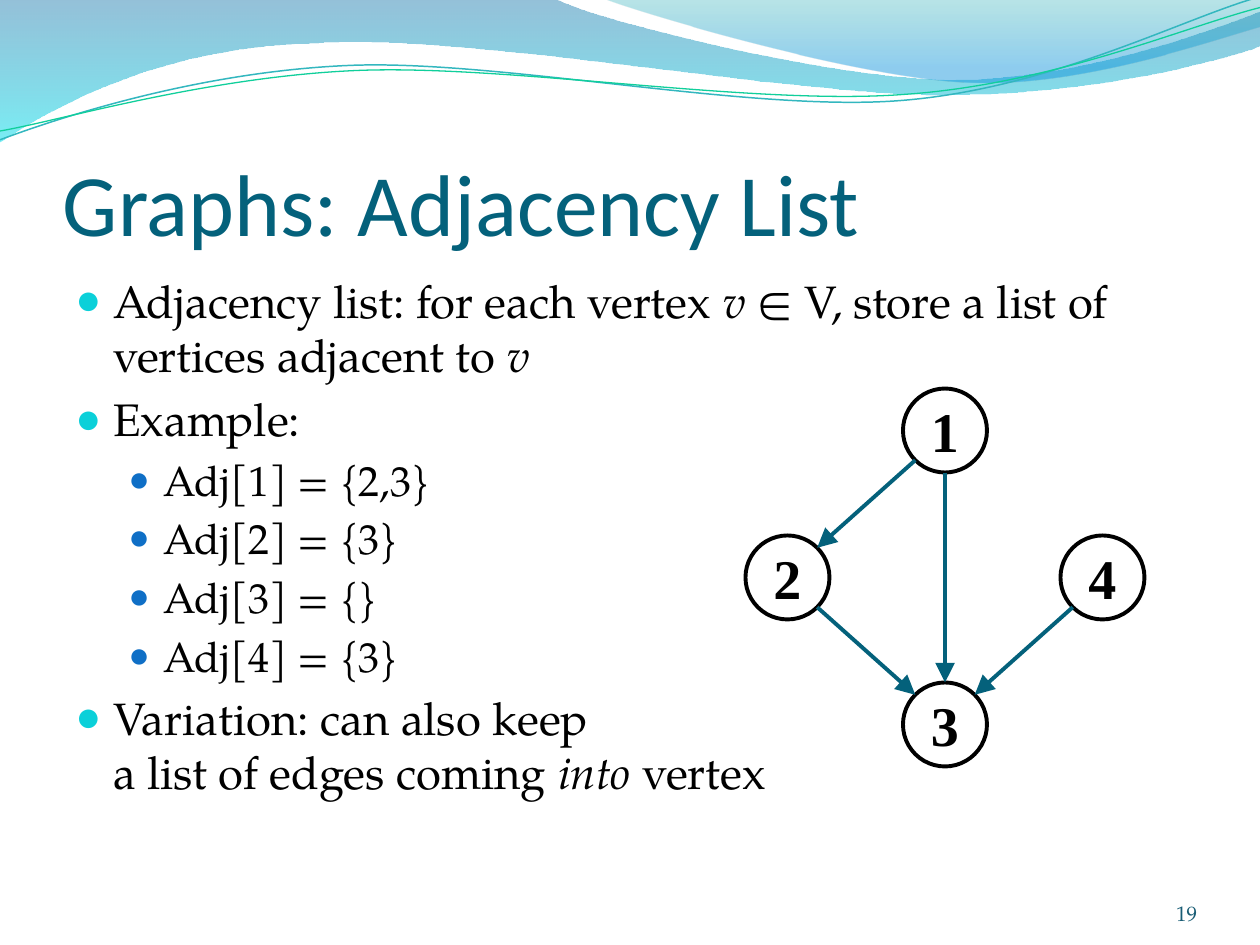
from collections import namedtuple
from math import hypot

from lxml import etree
from pptx import Presentation
from pptx.dml.color import RGBColor
from pptx.enum.shapes import MSO_CONNECTOR, MSO_SHAPE
from pptx.enum.text import MSO_ANCHOR, PP_ALIGN
from pptx.oxml.ns import qn
from pptx.util import Emu, Inches, Pt

OVAL = MSO_SHAPE.OVAL
STRAIGHT = MSO_CONNECTOR.STRAIGHT
TOP, MIDDLE, BOTTOM = MSO_ANCHOR.TOP, MSO_ANCHOR.MIDDLE, MSO_ANCHOR.BOTTOM
LEFT, CENTER, RIGHT = PP_ALIGN.LEFT, PP_ALIGN.CENTER, PP_ALIGN.RIGHT
SERIF, ROMAN = "TeX Gyre Pagella", "Times New Roman"
INK, TEAL = "000000", "04617B"
WIDTH, HEIGHT = Inches(10), Inches(7.5)
COLUMNS, ROWS = 120, 90

Box = namedtuple("Box", "left top width height")
Level = namedtuple("Level", "size margin hang before bullet scale")

LEVELS = [
    Level(26, 0.3, 0.3, 5.2, "0BD0D9", 95),
    Level(24, 0.7, 0.28, 4.8, "0F6FC6", 85),
]
BULLETS = [
    (0, [("Adjacency list: for each vertex ", False), ("v ", True),
         ("∈ V, store a list of vertices adjacent to ", False), ("v", True)]),
    (0, [("Example:", False)]),
    (1, [("Adj[1] = {2,3}", False)]),
    (1, [("Adj[2] = {3}", False)]),
    (1, [("Adj[3] = {}", False)]),
    (1, [("Adj[4] = {3}", False)]),
    (0, [("Variation: can also keep ", False), ("\n", False),
         ("a list of edges coming ", False), ("into ", True), ("vertex", False)]),
]
NODES = {"1": (1, 0), "2": (0, 1), "4": (2, 1), "3": (1, 2)}
EDGES = ["12", "23", "43", "13"]

BANDS = [
    ([(0, 0), (4.4, -0.01),
      (4.76, 0.17, 6.64, 0.63, 7.58, 0.63), (8.53, 0.63, 9.58, 0.26, 10, 0.09),
      (10.01, 0.36),
      (9.83, 0.44, 8.7, 0.76, 7.46, 0.75), (6.22, 0.75, 3.82, 0.28, 2.57, 0.34),
      (1.29, 0.36, 0.46, 0.83, -0.01, 1.13), (0, 0)],
     [(0, "1476AB", 45), (100, "0CE0EC", 55)]),
    ([(4.79, -0.01),
      (5.09, 0.11, 6.82, 0.62, 7.69, 0.65), (8.56, 0.69, 9.61, 0.32, 10, 0.21),
      (10, 0), (4.79, -0.01)],
     [(0, "18A7B0", 30), (80, "0993DD", 45), (100, "0993DD", 45)]),
]
STRANDS = [
    ([(0, 1.11), (0.48, 0.93, 1.58, 0.57, 2.77, 0.52),
      (3.95, 0.47, 5.93, 0.89, 7.13, 0.8), (8.33, 0.71, 9.38, 0.15, 9.98, -0.02)],
     "33B7BF", 0.85),
    ([(0, 1.04), (0.47, 0.96, 1.64, 0.61, 2.83, 0.56),
      (4.03, 0.51, 5.97, 0.84, 7.17, 0.75), (8.36, 0.67, 9.41, 0.21, 10, 0.06)],
     "10CF9B", 0.75),
]


def color(value):
    """Turn a hex string into a colour."""
    return RGBColor.from_string(value)


def cells(left, top, width, height):
    """Give a box from columns and rows of the slide's grid."""
    column, row = WIDTH / COLUMNS, HEIGHT / ROWS
    return Box(*(Emu(round(v)) for v in (left * column, top * row, width * column, height * row)))


def add_element(parent, tag, **attributes):
    """Append a DrawingML element with the given attributes."""
    child = etree.SubElement(parent, qn(tag))
    for name, value in attributes.items():
        child.set(name, str(value))
    return child


def set_line(line, value, points):
    """Colour a line and set its width."""
    line.color.rgb = color(value)
    line.width = Pt(points)


def set_frame(frame, anchor, insets):
    """Set wrapping, anchor and insets, given in inches as left, top, right, bottom."""
    sides = ("margin_left", "margin_top", "margin_right", "margin_bottom")
    formats = dict(zip(sides, map(Inches, insets)), word_wrap=True, vertical_anchor=anchor)
    for name, value in formats.items():
        setattr(frame, name, value)


def add_span(para, text, value, **formats):
    """Add one run of text with its font formats."""
    span = para.add_run()
    span.text = text
    span.font.color.rgb = color(value)
    for name, setting in formats.items():
        setattr(span.font, name, setting)


def add_outline(page, box, path, close):
    """Draw lines and cubic curves measured in tenths of the box's width."""
    unit = box.width / 10
    parts = [[(box.left + part[i] * unit, box.top + part[i + 1] * unit)
              for i in range(0, len(part), 2)] for part in path]
    builder = page.shapes.build_freeform(*parts[0][-1], scale=1.0)
    builder.add_line_segments([part[-1] for part in parts[1:]], close=close)
    shape = builder.convert_to_shape()
    shape.shadow.inherit = False
    segments = list(shape._element.spPr.iter(qn("a:lnTo")))
    for segment, part in zip(segments, parts[1:]):
        if len(part) == 3:
            curve = etree.Element(qn("a:cubicBezTo"))
            for x, y in part:
                add_element(curve, "a:pt", x=round(x - shape.left), y=round(y - shape.top))
            segment.getparent().replace(segment, curve)
    return shape


def add_waves(page, box):
    """Draw the tinted bands and thin strands along the top."""
    for path, stops in BANDS:
        band = add_outline(page, box, path, True)
        band.line.fill.background()
        band.fill.gradient()
        band.fill.gradient_angle = 270
        stop_list = next(band._element.spPr.iter(qn("a:gsLst")))
        for old in list(stop_list):
            stop_list.remove(old)
        for position, value, opacity in stops:
            stop = add_element(stop_list, "a:gs", pos=position * 1000)
            tint = add_element(stop, "a:srgbClr", val=value)
            add_element(tint, "a:alpha", val=opacity * 1000)
    for path, value, points in STRANDS:
        strand = add_outline(page, box, path, False)
        strand.fill.background()
        set_line(strand.line, value, points)


def add_label(page, box, text, value, insets, align, **formats):
    """Place one line of text at the bottom of a box."""
    frame = page.shapes.add_textbox(*box).text_frame
    set_frame(frame, BOTTOM, insets)
    para = frame.paragraphs[0]
    para.alignment = align
    add_span(para, text, value, **formats)


def add_bullets(page, box):
    """Write the two-level bullet list."""
    frame = page.shapes.add_textbox(*box).text_frame
    set_frame(frame, TOP, (0.1, 0.05, 0.1, 0.05))
    for index, (depth, spans) in enumerate(BULLETS):
        level = LEVELS[depth]
        para = frame.add_paragraph() if index else frame.paragraphs[0]
        para.level = depth
        para.space_before = Pt(level.before if index else 0)
        props = para._p.get_or_add_pPr()
        props.set("marL", str(Inches(level.margin)))
        props.set("indent", str(-Inches(level.hang)))
        add_element(add_element(props, "a:buClr"), "a:srgbClr", val=level.bullet)
        add_element(props, "a:buSzPct", val=level.scale * 1000)
        add_element(props, "a:buFont", typeface=ROMAN)
        add_element(props, "a:buChar", char="●")
        for text, italic in spans:
            if text == "\n":
                para.add_line_break()
            else:
                add_span(para, text, INK, name=SERIF, size=Pt(level.size), italic=italic)


def add_graph(page, box):
    """Draw the directed graph on a grid of three columns and three rows."""
    size = box.width * 4 / 19
    radius = size / 2
    across, down = (box.width - size) / 2, (box.height - size) / 2
    centers = {name: (box.left + radius + column * across, box.top + radius + row * down)
               for name, (column, row) in NODES.items()}
    for name, (x, y) in centers.items():
        node = page.shapes.add_shape(OVAL, *map(round, (x - radius, y - radius, size, size)))
        node.shadow.inherit = False
        node.fill.background()
        set_line(node.line, INK, 2.25)
        set_frame(node.text_frame, MIDDLE, (0.1, 0.05, 0.1, 0.05))
        para = node.text_frame.paragraphs[0]
        para.alignment = CENTER
        add_span(para, name, INK, name=ROMAN, size=Pt(32), bold=True)
    for start, end in EDGES:
        steps = [max(-1, min(1, b - a)) for a, b in zip(NODES[start], NODES[end])]
        reach = [radius * step / hypot(*steps) for step in steps]
        begin = [round(c + r) for c, r in zip(centers[start], reach)]
        tip = [round(c - r) for c, r in zip(centers[end], reach)]
        edge = page.shapes.add_connector(STRAIGHT, *begin, *tip)
        set_line(edge.line, TEAL, 2.25)
        outline = edge._element.spPr.find(qn("a:ln"))
        add_element(outline, "a:tailEnd", type="triangle", w="lg", len="lg")
        add_element(edge._element.spPr, "a:effectLst")


def main():
    """Build and save the slide."""
    deck = Presentation()
    deck.slide_width, deck.slide_height = WIDTH, HEIGHT
    page = deck.slides.add_slide(deck.slide_layouts[6])
    add_waves(page, cells(0, 0, COLUMNS, 14))
    add_label(page, cells(6, 9.2, 108, 15), "Graphs: Adjacency List", TEAL,
              (0, 0.05, 0, 0), LEFT, name="Calibri", size=Pt(50))
    add_bullets(page, cells(6, 25.4, 108, 57.6))
    add_graph(page, cells(71, 37, 38, 36))
    add_label(page, cells(104, 83.4, 10, 4.8), "19", "195D75",
              (0, 0, 0, 0), RIGHT, name=SERIF, size=Pt(12))
    deck.save("out.pptx")


if __name__ == "__main__":
    main()
